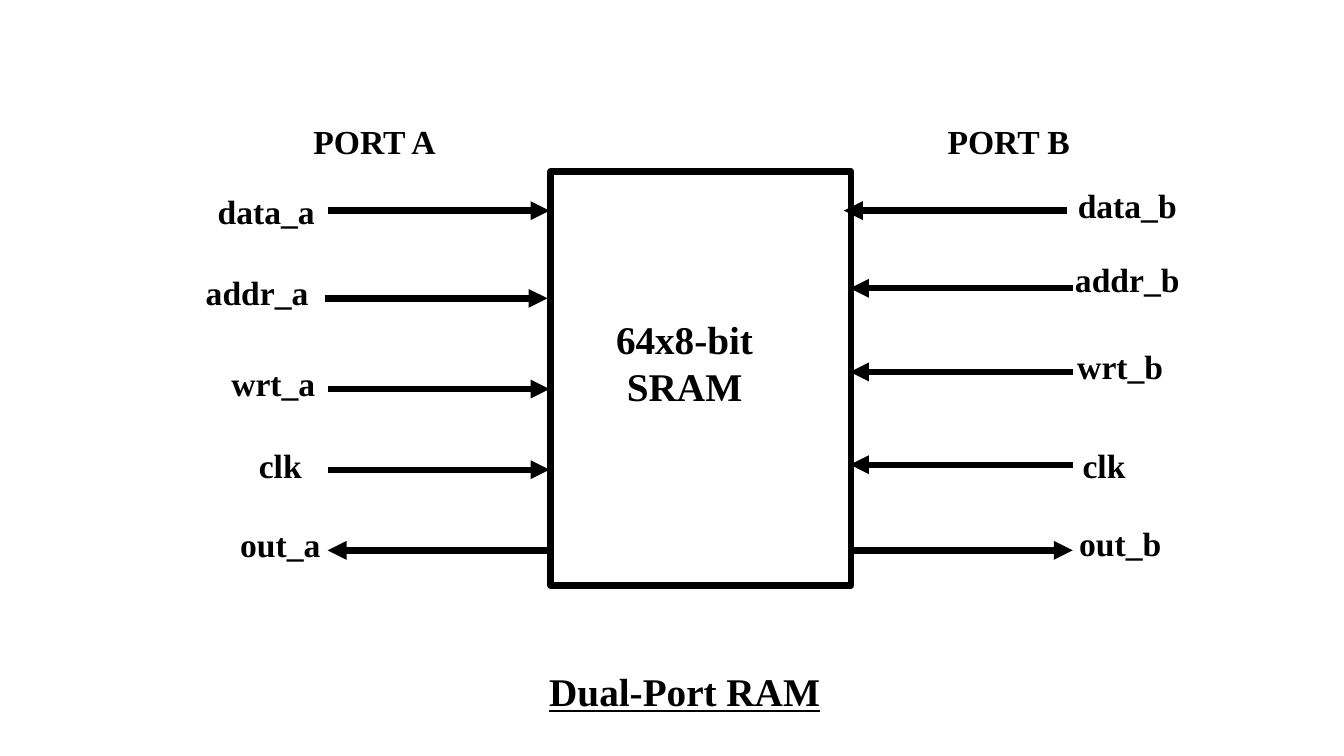
from pptx import Presentation
from pptx.dml.color import RGBColor
from pptx.enum.shapes import MSO_CONNECTOR, MSO_SHAPE
from pptx.enum.text import MSO_AUTO_SIZE, PP_ALIGN
from pptx.oxml.ns import qn
from pptx.util import Pt
from lxml.etree import SubElement

PX = 9144  # EMU per px, 100 px to the inch
BLACK = RGBColor(0x00, 0x00, 0x00)
WHITE = RGBColor(0xFF, 0xFF, 0xFF)
FONT = "Times New Roman"
LINE_WIDTH = Pt(4.5)

presentation = Presentation()
presentation.slide_width = 1333 * PX
presentation.slide_height = 750 * PX
slide = presentation.slides.add_slide(presentation.slide_layouts[6])


def add_label(text, left, top, width, height=50, size=24, underline=False):
    box = slide.shapes.add_textbox(left * PX, top * PX, width * PX, height * PX)
    frame = box.text_frame
    frame.word_wrap = True
    frame.auto_size = MSO_AUTO_SIZE.SHAPE_TO_FIT_TEXT
    frame.text = text
    paragraph = frame.paragraphs[0]
    paragraph.alignment = PP_ALIGN.CENTER
    font = paragraph.runs[0].font
    font.name = FONT
    font.size = Pt(size)
    font.bold = True
    font.underline = underline
    font.color.rgb = BLACK


def add_arrow(start, end, y):
    """Draw a horizontal arrow with its head at end."""
    arrow = slide.shapes.add_connector(
        MSO_CONNECTOR.STRAIGHT, start * PX, y * PX, end * PX, y * PX)
    arrow.line.color.rgb = BLACK
    arrow.line.width = LINE_WIDTH
    SubElement(arrow.line._get_or_add_ln(), qn("a:tailEnd"), type="triangle")
    SubElement(arrow._element.spPr, qn("a:effectLst"))


# Memory block
memory = slide.shapes.add_shape(
    MSO_SHAPE.RECTANGLE, 546 * PX, 170 * PX, 298 * PX, 411 * PX)
memory.shadow.inherit = False
memory.fill.solid()
memory.fill.fore_color.rgb = WHITE
memory.line.color.rgb = BLACK
memory.line.width = LINE_WIDTH
add_label("64x8-bit SRAM", 576, 308, 206, height=104, size=28)

# Port headings
for heading, left in (("PORT A", 244), ("PORT B", 873)):
    add_label(heading, left, 115, 255)

# Signals: name, label left, label top, arrow start, arrow end, arrow y
signals = [
    ("data_a", 170, 184, 325, 545, 209),
    ("addr_a", 161, 265, 322, 543, 296),
    ("wrt_a", 177, 355, 325, 545, 386),
    ("clk", 184, 436, 325, 545, 466),
    ("out_a", 184, 515, 545, 325, 546),
    ("data_b", 1024, 179, 1058, 837, 209),
    ("addr_b", 1024, 252, 1064, 843, 286),
    ("wrt_b", 1017, 338, 1064, 843, 369),
    ("clk", 1001, 436, 1064, 843, 461),
    ("out_b", 1017, 514, 843, 1064, 546),
]
for name, left, top, start, end, y in signals:
    add_label(name, left, top, 188)
    add_arrow(start, end, y)

# Caption
add_label("Dual-Port RAM", 470, 657, 418, height=57, size=28, underline=True)

presentation.save("out.pptx")
